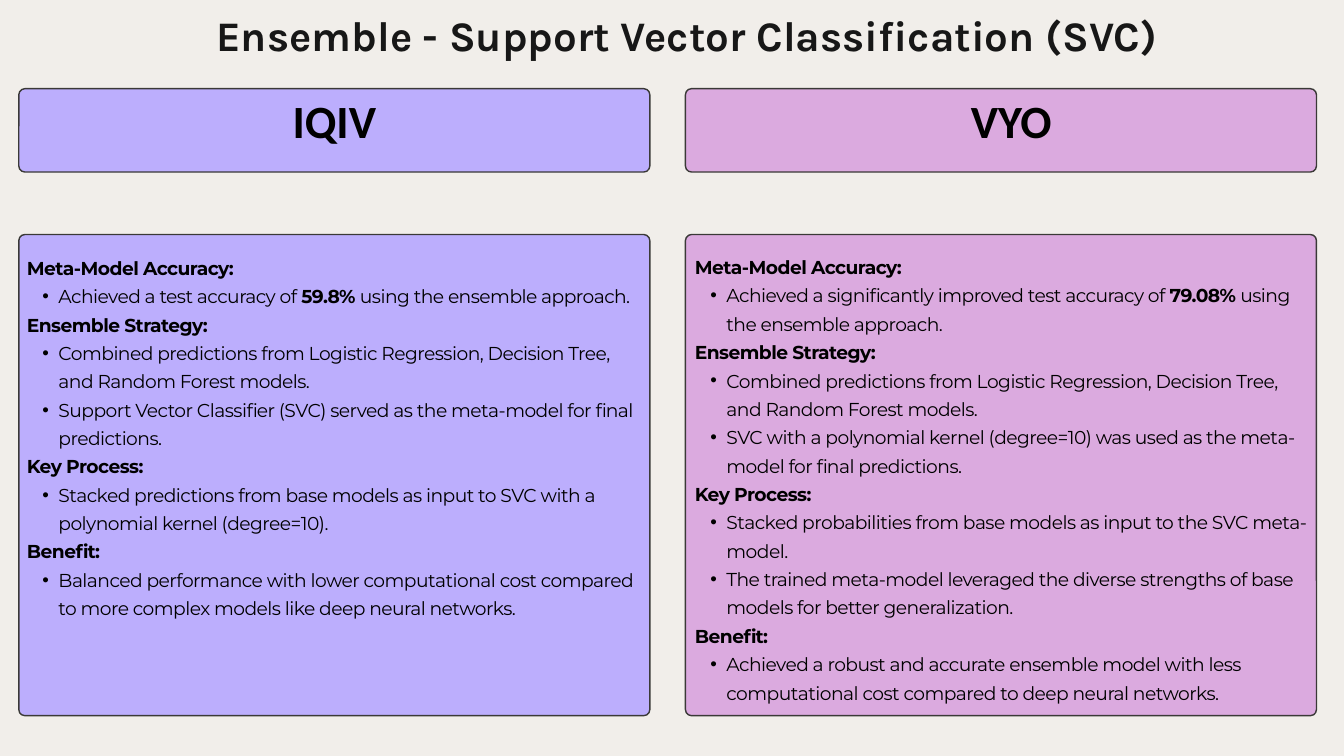
from pptx import Presentation
from pptx.dml.color import RGBColor
from pptx.enum.shapes import MSO_SHAPE
from pptx.enum.text import PP_ALIGN
from pptx.oxml.ns import qn
from pptx.util import Inches, Pt
from lxml.etree import SubElement

WIDE, HIGH = 20, 11.25
PAPER, INK, EDGE, BLACK = "F1EEEA", "171717", "3A3937", "000000"
TITLE = "Ensemble - Support Vector Classification (SVC)"

# Left edge, width; top, height
COLS = [(0.28, 9.39), (10.2, 9.39)]
HEAD, BODY = (1.32, 1.24), (3.49, 7.16)
CURVE = 0.09

# Stars enclose bold words
PANELS = [
    {
        "name": "IQIV", "fill": "BCAEFD",
        "label": (1.05, 1.46, 7.85, 0.89), "text": (0.4, 3.73, 9.14, 5.81),
        "parts": [
            ("Meta-Model Accuracy:", [
                "Achieved a test accuracy of *59.8%* using the ensemble approach."]),
            ("Ensemble Strategy:", [
                "Combined predictions from Logistic Regression, Decision Tree, and Random Forest models.",
                "Support Vector Classifier (SVC) served as the meta-model for final predictions."]),
            ("Key Process:", [
                "Stacked predictions from base models as input to SVC with a polynomial kernel (degree=10)."]),
            ("Benefit:", [
                "Balanced performance with lower computational cost compared to more complex models like deep neural networks."]),
        ],
    },
    {
        "name": "VYO", "fill": "DBAADF",
        "label": (11.23, 1.46, 7.64, 0.89), "text": (10.34, 3.72, 9.11, 6.64),
        "parts": [
            ("Meta-Model Accuracy:", [
                "Achieved a significantly improved test accuracy of *79.08%* using the ensemble approach."]),
            ("Ensemble Strategy:", [
                "Combined predictions from Logistic Regression, Decision Tree, and Random Forest models.",
                "SVC with a polynomial kernel (degree=10) was used as the meta-model for final predictions."]),
            ("Key Process:", [
                "Stacked probabilities from base models as input to the SVC meta-model.",
                "The trained meta-model leveraged the diverse strengths of base models for better generalization."]),
            ("Benefit:", [
                "Achieved a robust and accurate ensemble model with less computational cost compared to deep neural networks."]),
        ],
    },
]


def paint(hue):
    return RGBColor.from_string(hue)


def add_card(slide, col, row, fill):
    (left, width), (top, height) = col, row
    card = slide.shapes.add_shape(
        MSO_SHAPE.ROUNDED_RECTANGLE, *map(Inches, (left, top, width, height)))
    card.adjustments[0] = CURVE / min(width, height)
    card.shadow.inherit = False
    card.fill.solid()
    card.fill.fore_color.rgb = paint(fill)
    card.line.color.rgb = paint(EDGE)
    card.line.width = Pt(1.5)


def add_frame(slide, area):
    frame = slide.shapes.add_textbox(*map(Inches, area)).text_frame
    frame.word_wrap = True
    frame.margin_left = frame.margin_right = 0
    frame.margin_top = frame.margin_bottom = 0
    return frame


def style(para, face, size, lead, hue=BLACK):
    para.line_spacing = Pt(lead)
    para.font.name = face
    para.font.size = Pt(size)
    para.font.color.rgb = paint(hue)


def add_label(slide, area, text, *look):
    para = add_frame(slide, area).paragraphs[0]
    para.text = text
    para.alignment = PP_ALIGN.CENTER
    style(para, *look)
    para.font.bold = True


def add_bullet(para):
    para.level = 1
    props = para._p.get_or_add_pPr()
    props.set("marL", str(Inches(0.47)))
    props.set("indent", str(Inches(-0.24)))
    SubElement(props, qn("a:buFont"), typeface="Arial")
    SubElement(props, qn("a:buChar"), char="•")


def add_parts(slide, area, parts):
    frame = add_frame(slide, area)
    lines = []
    for head, items in parts:
        lines.append((f"*{head}*", False))
        lines += [(item, True) for item in items]
    for i, (text, dot) in enumerate(lines):
        para = frame.add_paragraph() if i else frame.paragraphs[0]
        if dot:
            add_bullet(para)
        style(para, "Montserrat", 20, 30.4)
        for j, piece in enumerate(text.split("*")):
            if piece:
                run = para.add_run()
                run.text = piece
                run.font.bold = j % 2 == 1
                run._r.get_or_add_rPr().set("spc", "-60")


deck = Presentation()
deck.slide_width, deck.slide_height = Inches(WIDE), Inches(HIGH)
slide = deck.slides.add_slide(deck.slide_layouts[6])
slide.background.fill.solid()
slide.background.fill.fore_color.rgb = paint(PAPER)

add_label(slide, (3.04, 0.02, 14.36, 0.84), TITLE, "Karla", 45, 63, INK)
for col, panel in zip(COLS, PANELS):
    for row in (HEAD, BODY):
        add_card(slide, col, row, panel["fill"])
    add_label(slide, panel["label"], panel["name"], "Calibri", 49.5, 53)
    add_parts(slide, panel["text"], panel["parts"])

deck.save("out.pptx")
